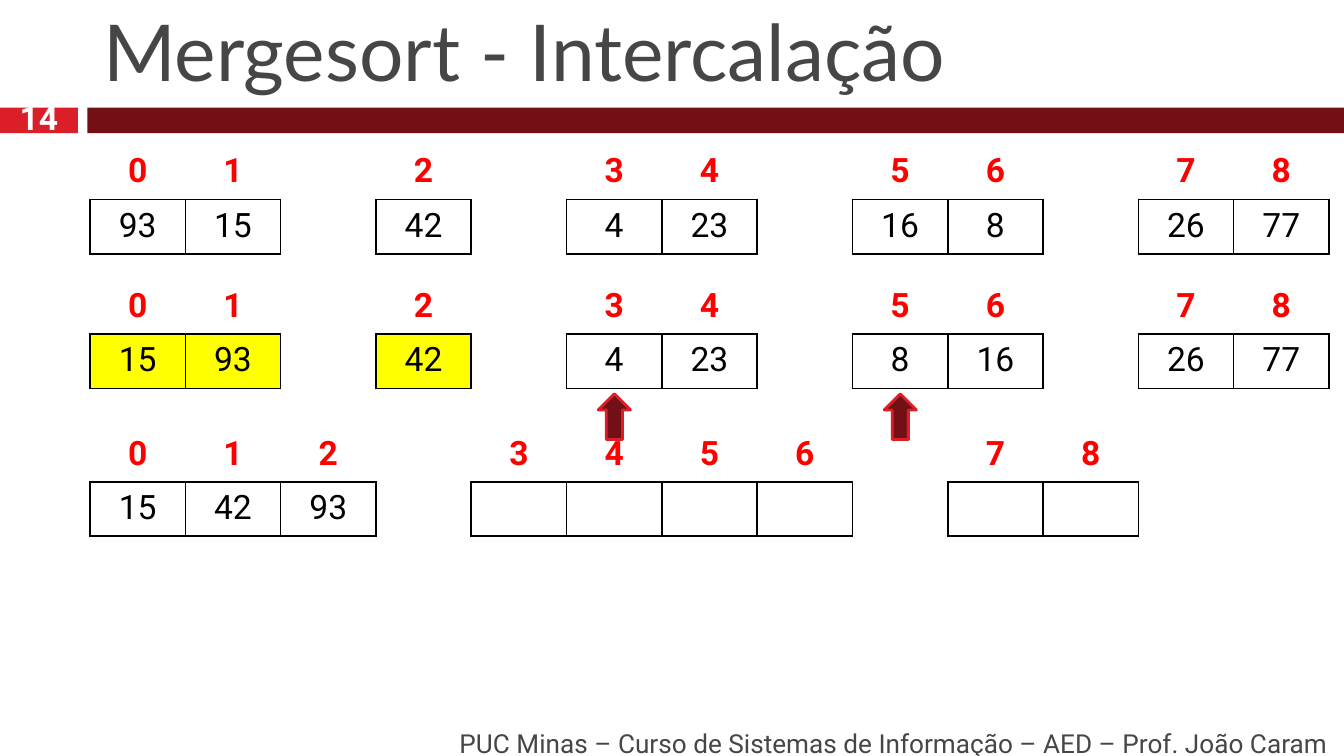
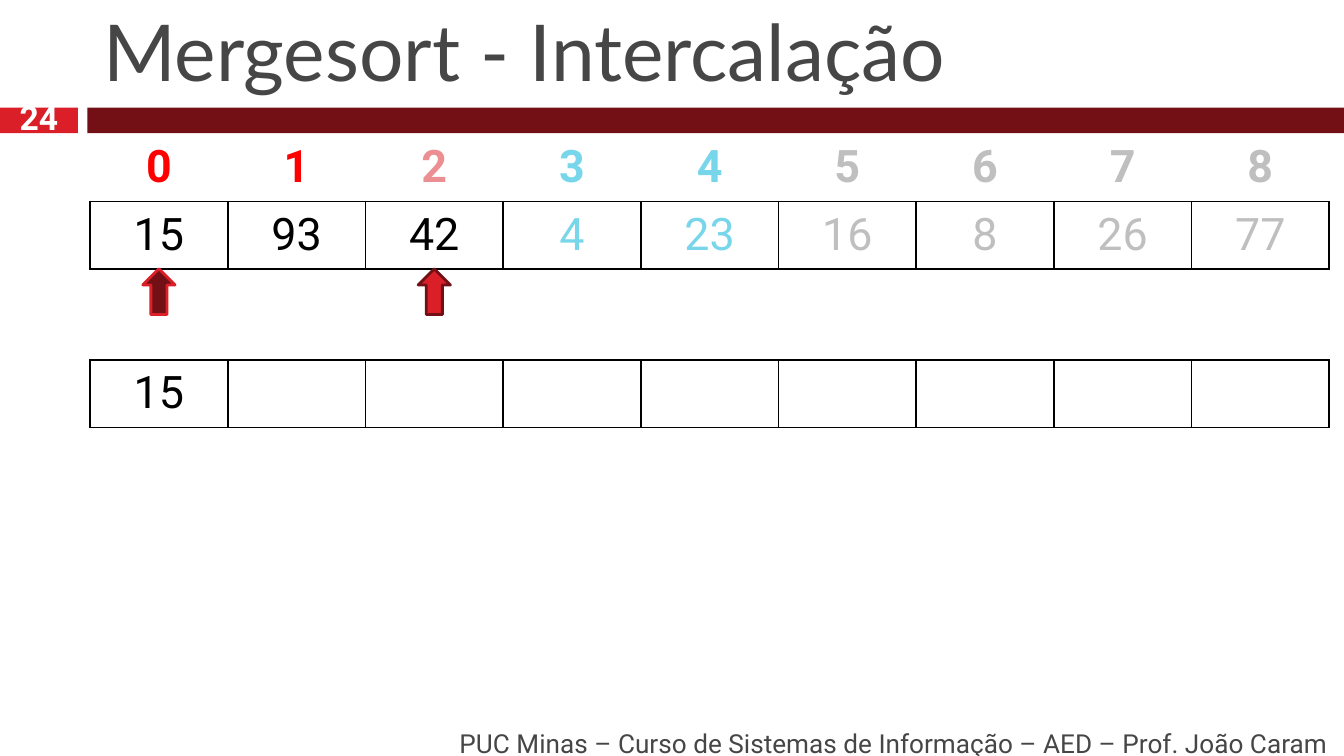
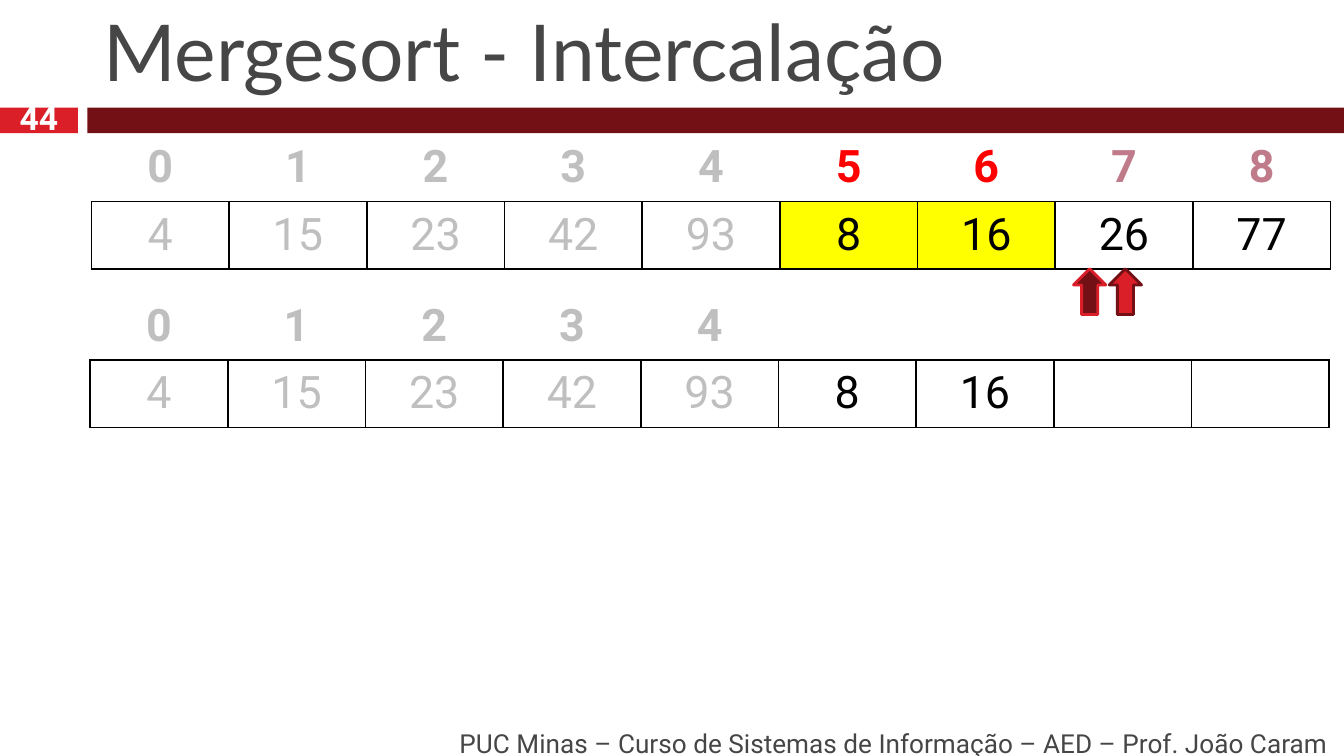
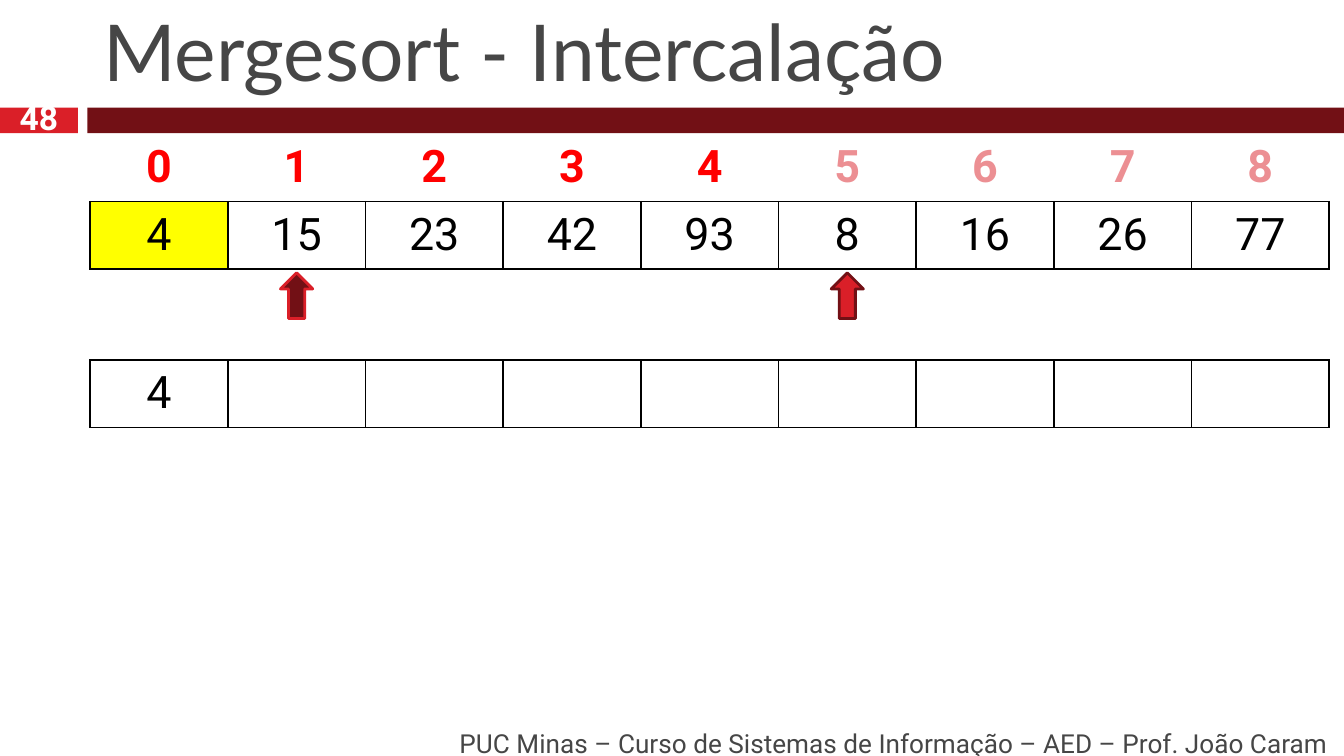
from lxml import etree
from pptx import Presentation
from pptx.dml.color import RGBColor
from pptx.enum.shapes import MSO_SHAPE
from pptx.enum.text import MSO_ANCHOR, PP_ALIGN
from pptx.oxml.ns import qn
from pptx.util import Inches, Pt

RECT, ARROW = MSO_SHAPE.RECTANGLE, MSO_SHAPE.DOWN_ARROW
LEFT, CENTER, RIGHT = PP_ALIGN.LEFT, PP_ALIGN.CENTER, PP_ALIGN.RIGHT
MIDDLE, BOTTOM = MSO_ANCHOR.MIDDLE, MSO_ANCHOR.BOTTOM

TITLE = "Mergesort - Intercalação"
FOOTER = "PUC Minas – Curso de Sistemas de Informação – AED – Prof. João Caram"

# In a row, "|" is a gap between vectors and "_" an empty cell.
# heads and inks hold one colour key per cell, "-" meaning no index above it;
# marks lists the highlighted cells. Arrows point at a column position.
SLIDES = [
    dict(page="14", size="small", cols=13, arrow_top=2.93,
         arrows=[(5.5, "dark"), (8.5, "dark")],
         tables=[
             dict(top=1.08, row="93 15 | 42 | 4 23 | 16 8 | 26 77",
                  heads="rrrrrrrrr", inks="kkkkkkkkk", marks=[]),
             dict(top=2.08, row="15 93 | 42 | 4 23 | 8 16 | 26 77",
                  heads="rrrrrrrrr", inks="kkkkkkkkk", marks=[0, 1, 2]),
             dict(top=3.18, row="15 42 93 | _ _ _ _ | _ _",
                  heads="rrrrrrrrr", inks="kkkkkkkkk", marks=[]),
         ]),
    dict(page="24", size="large", cols=9, arrow_top=2,
         arrows=[(0.5, "dark"), (2.5, "light")],
         tables=[
             dict(top=2.18, row="15 _ _ _ _ _ _ _ _",
                  heads="---------", inks="kkkkkkkkk", marks=[]),
             dict(top=1, row="15 93 42 4 23 16 8 26 77",
                  heads="rrpccgggg", inks="kkkccgggg", marks=[]),
         ]),
    dict(page="44", size="large", cols=9, arrow_top=2,
         arrows=[(7.26, "dark"), (7.52, "light")],
         tables=[
             dict(top=2.18, row="4 15 23 42 93 8 16 _ _",
                  heads="ggggg----", inks="gggggkkkk", marks=[]),
             dict(top=1, left=0.68, row="4 15 23 42 93 8 16 26 77",
                  heads="gggggrrmm", inks="gggggkkkk", marks=[5, 6]),
         ]),
    dict(page="48", size="large", cols=9, arrow_top=2.03,
         arrows=[(1.5, "dark"), (5.5, "light")],
         tables=[
             dict(top=2.18, row="4 _ _ _ _ _ _ _ _",
                  heads="---------", inks="kkkkkkkkk", marks=[]),
             dict(top=1, row="4 15 23 42 93 8 16 26 77",
                  heads="rrrrrpppp", inks="kkkkkkkkk", marks=[0]),
         ]),
]

THEME = dict(
    wine="721015", red="DA1F28", gray="464646", white="FFFFFF", mark="FFFF00",
    keys=dict(r="FF0000", p="EC8F93", c="78D6EA", g="BFBFBF", m="C07B8A",
              k="000000"),
    title=dict(name="Lato", size=Pt(42)),
    footer=dict(name="Roboto", size=Pt(14)),
    page=dict(name="Roboto", size=Pt(18), bold=True),
    small=dict(name="Roboto", size=Pt(18)),
    large=dict(name="Roboto", size=Pt(24)),
    height=dict(small=0.81, large=1),
    border=Pt(1), edge=Pt(1.5),
)
TONES = dict(dark=("wine", "red"), light=("red", "wine"))
GRID_X, GRID_W = 0.67, 9.22
ROW_H = 0.81 / 2
ARROW_W, ARROW_H = 0.24, 0.34


def rgb(code):
    return RGBColor.from_string(code)


def write(frame, text, color, style, align):
    para = frame.paragraphs[0]
    para.alignment = align
    run = para.add_run()
    run.text = text
    for key, value in style.items():
        setattr(run.font, key, value)
    run.font.color.rgb = rgb(color)


def add_text(slide, box, text, color, style, align, anchor):
    frame = slide.shapes.add_textbox(*map(Inches, box)).text_frame
    frame.word_wrap = True
    frame.vertical_anchor = anchor
    write(frame, text, color, style, align)


def add_block(slide, kind, box, fill, line=None):
    shape = slide.shapes.add_shape(kind, *map(Inches, box))
    shape.shadow.inherit = False
    shape.fill.solid()
    shape.fill.fore_color.rgb = rgb(fill)
    if line:
        shape.line.color.rgb = rgb(line)
        shape.line.width = THEME["edge"]
    else:
        shape.line.fill.background()
    return shape


def set_edges(cell, shown):
    """Draw the sides named in shown and hide the others."""
    props = cell._tc.get_or_add_tcPr()
    for place, side in enumerate("LRTB"):
        line = etree.Element(qn(f"a:ln{side}"), w=str(THEME["border"]))
        if side in shown:
            fill = etree.SubElement(line, qn("a:solidFill"))
            etree.SubElement(fill, qn("a:srgbClr"), val=THEME["keys"]["k"])
        else:
            etree.SubElement(line, qn("a:noFill"))
        props.insert(place, line)


def size_end(cell, size):
    """Give the paragraph end its type size, which sets an empty row's height."""
    para = cell.text_frame.paragraphs[0]._p
    points = int(THEME[size]["size"].pt * 100)
    etree.SubElement(para, qn("a:endParaRPr"), sz=str(points))


def add_vector(slide, size, width, top, row, heads, inks, marks, left=GRID_X):
    """Add a table with the indices above and the values below."""
    items = row.split()
    boxed = [item != "|" for item in items]
    high = THEME["height"][size]
    box = (left, top, width * len(items), high)
    holder = slide.shapes.add_table(2, len(items), *map(Inches, box))
    table = holder.table
    table.first_row = table.horz_banding = False
    for line in table.rows:
        line.height = Inches(ROW_H)

    index = 0
    for col, item in enumerate(items):
        table.columns[col].width = Inches(width)
        head, cell = table.cell(0, col), table.cell(1, col)
        head.fill.background()
        cell.fill.background()
        if boxed[col]:
            if heads[index] != "-":
                write(head.text_frame, str(index), THEME["keys"][heads[index]],
                      dict(THEME[size], bold=True), CENTER)
            if item != "_":
                write(cell.text_frame, item, THEME["keys"][inks[index]],
                      THEME[size], CENTER)
            if index in marks:
                cell.fill.solid()
                cell.fill.fore_color.rgb = rgb(THEME["mark"])
            index += 1
        set_edges(head, "B" if boxed[col] else "")
        set_edges(cell, "LRTB" if boxed[col] else "LR")
        size_end(head, size)
        size_end(cell, size)
    holder.height = Inches(high)


def add_frame(slide, page):
    """Add the bands, title, footer and page number every slide shares."""
    add_block(slide, RECT, (0, 0.8, 0.58, 0.19), THEME["red"])
    add_block(slide, RECT, (0.65, 0.8, 9.35, 0.19), THEME["wine"])
    add_text(slide, (GRID_X, 0.13, GRID_W, 0.64), TITLE, THEME["gray"],
             THEME["title"], LEFT, BOTTOM)
    add_text(slide, (1.06, 5.38, 8.92, 0.3), FOOTER, THEME["gray"],
             THEME["footer"], RIGHT, MIDDLE)
    add_text(slide, (0, 0.77, 0.58, 0.2), page, THEME["white"],
             THEME["page"], CENTER, MIDDLE)


def main():
    deck = Presentation()
    deck.slide_width, deck.slide_height = Inches(10), Inches(10 * 9 / 16)
    for data in SLIDES:
        slide = deck.slides.add_slide(deck.slide_layouts[6])
        add_frame(slide, data["page"])
        width = GRID_W / data["cols"]
        for table in data["tables"]:
            add_vector(slide, data["size"], width, **table)
        for col, tone in data["arrows"]:
            fill, line = (THEME[name] for name in TONES[tone])
            left = GRID_X + col * width - ARROW_W / 2
            box = (left, data["arrow_top"], ARROW_W, ARROW_H)
            add_block(slide, ARROW, box, fill, line).rotation = 180
    deck.save("out.pptx")


if __name__ == "__main__":
    main()
